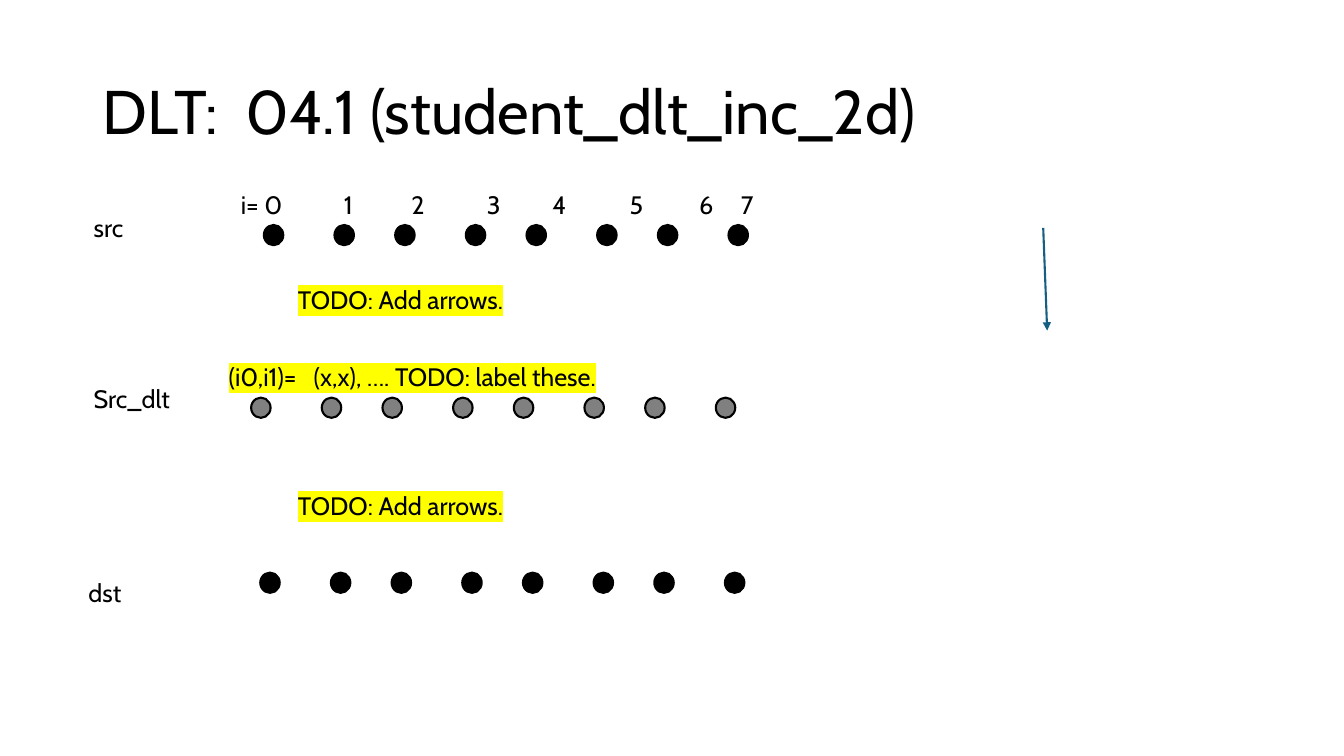
from lxml.etree import SubElement
from pptx import Presentation
from pptx.dml.color import RGBColor
from pptx.enum.shapes import MSO_CONNECTOR, MSO_SHAPE
from pptx.enum.text import MSO_ANCHOR
from pptx.oxml.ns import qn
from pptx.util import Cm, Pt

COLOURS = {
    "ink": "000000",
    "grey": "808080",
    "arrow": "156082",
    "marker": "FFFF00",
}


def rgb(name):
    return RGBColor.from_string(COLOURS[name])


class DiagramSlide:
    """Holds the style and draws elements, with lengths in centimetres."""

    font = "Cabin"
    line_width = Pt(1.5)
    dot_size = (0.49, 0.51)

    def __init__(self, slide):
        self.slide = slide

    def text(self, words, left, top, width, height=1.03, size=18):
        box = self.slide.shapes.add_textbox(Cm(left), Cm(top), Cm(width), Cm(height))
        box.text_frame.word_wrap = True
        paragraph = box.text_frame.paragraphs[0]
        paragraph.text = words
        paragraph.font.name = self.font
        paragraph.font.size = Pt(size)
        paragraph.font.color.rgb = rgb("ink")
        return box.text_frame

    def title(self, words, left, top, width, height):
        frame = self.text(words, left, top, width, height, size=44)
        frame.vertical_anchor = MSO_ANCHOR.MIDDLE
        frame.paragraphs[0].line_spacing = 0.9

    def highlighted(self, words, left, top, width=16.54):
        run = self.text(words, left, top, width).paragraphs[0].runs[0]
        highlight = SubElement(run.font._element, qn("a:highlight"))
        SubElement(highlight, qn("a:srgbClr"), val=COLOURS["marker"])

    def tabbed(self, words, left, top, width, stops):
        paragraph = self.text("\t".join(words), left, top, width).paragraphs[0]
        properties = paragraph._p.get_or_add_pPr()
        tabs = SubElement(properties, qn("a:tabLst"))
        for stop in stops:
            SubElement(tabs, qn("a:tab"), pos=str(Cm(stop)), algn="l")
        properties.insert(0, tabs)  # tab stops precede the font defaults

    def dot(self, left, top, fill):
        width, height = self.dot_size
        dot = self.slide.shapes.add_shape(
            MSO_SHAPE.OVAL, Cm(left), Cm(top), Cm(width), Cm(height))
        dot.shadow.inherit = False
        dot.fill.solid()
        dot.fill.fore_color.rgb = rgb(fill)
        dot.line.color.rgb = rgb("ink")
        dot.line.width = self.line_width

    def dot_row(self, left, top, fill, pairs=4, pair_pitch=3.31, pair_gap=1.78):
        for pair in range(pairs):
            for member in range(2):
                self.dot(left + pair * pair_pitch + member * pair_gap, top, fill)

    def arrow(self, x1, y1, x2, y2):
        arrow = self.slide.shapes.add_connector(
            MSO_CONNECTOR.STRAIGHT, Cm(x1), Cm(y1), Cm(x2), Cm(y2))
        arrow.line.color.rgb = rgb("arrow")
        arrow.line.width = self.line_width
        SubElement(arrow.line._get_or_add_ln(), qn("a:tailEnd"), type="triangle")
        SubElement(arrow._element.spPr, qn("a:effectLst"))


def main():
    deck = Presentation()
    deck.slide_width, deck.slide_height = Cm(33.87), Cm(19.05)
    diagram = DiagramSlide(deck.slides.add_slide(deck.slide_layouts[6]))

    diagram.title("DLT:  04.1 (student_dlt_inc_2d)", 2.34, 1.02, 30.56, 3.73)

    # Array rows: name, name position and width, first dot, fill
    rows = [
        ("src", 2.11, 5.23, 2.06, 6.65, 5.67, "ink"),
        ("Src_dlt", 2.11, 9.53, 3.71, 6.33, 10.02, "grey"),
        ("dst", 1.98, 14.43, 2.06, 6.56, 14.43, "ink"),
    ]
    for name, left, top, width, dot_left, dot_top, fill in rows:
        diagram.text(name, left, top, width)
        diagram.dot_row(dot_left, dot_top, fill)

    # Indices above the source row
    indices = ["i= 0", "1", "2", "3", "4", "5", "6", "7"]
    diagram.tabbed(indices, 5.82, 4.65, 13.64,
                   stops=[2.6, 4.3, 6.2, 7.85, 9.8, 11.55, 12.6])

    # Open tasks
    diagram.highlighted("(i0,i1)=   (x,x), …. TODO: label these.", 5.51, 8.99)
    for top in (7.04, 12.24):
        diagram.highlighted("TODO: Add arrows.", 7.26, top)

    # Sample arrow
    diagram.arrow(26.29, 5.74, 26.39, 8.33)

    deck.save("out.pptx")


if __name__ == "__main__":
    main()
